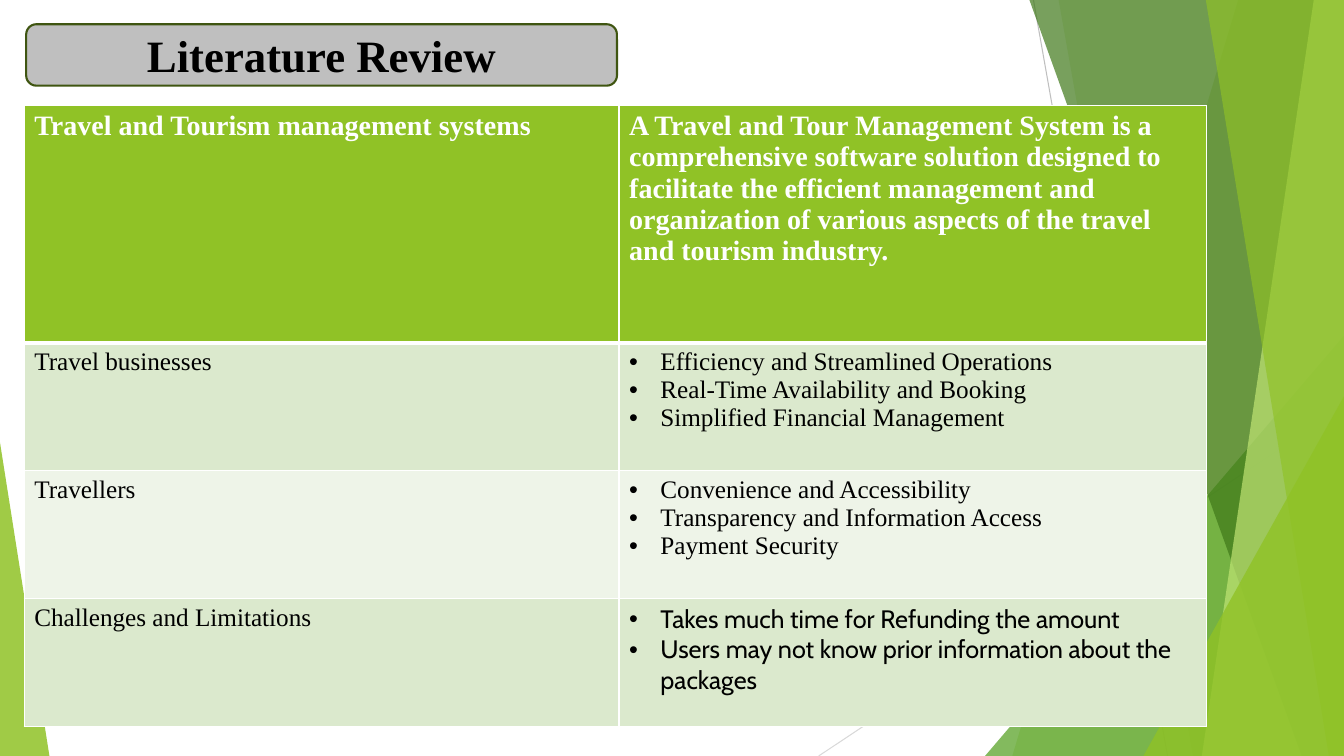
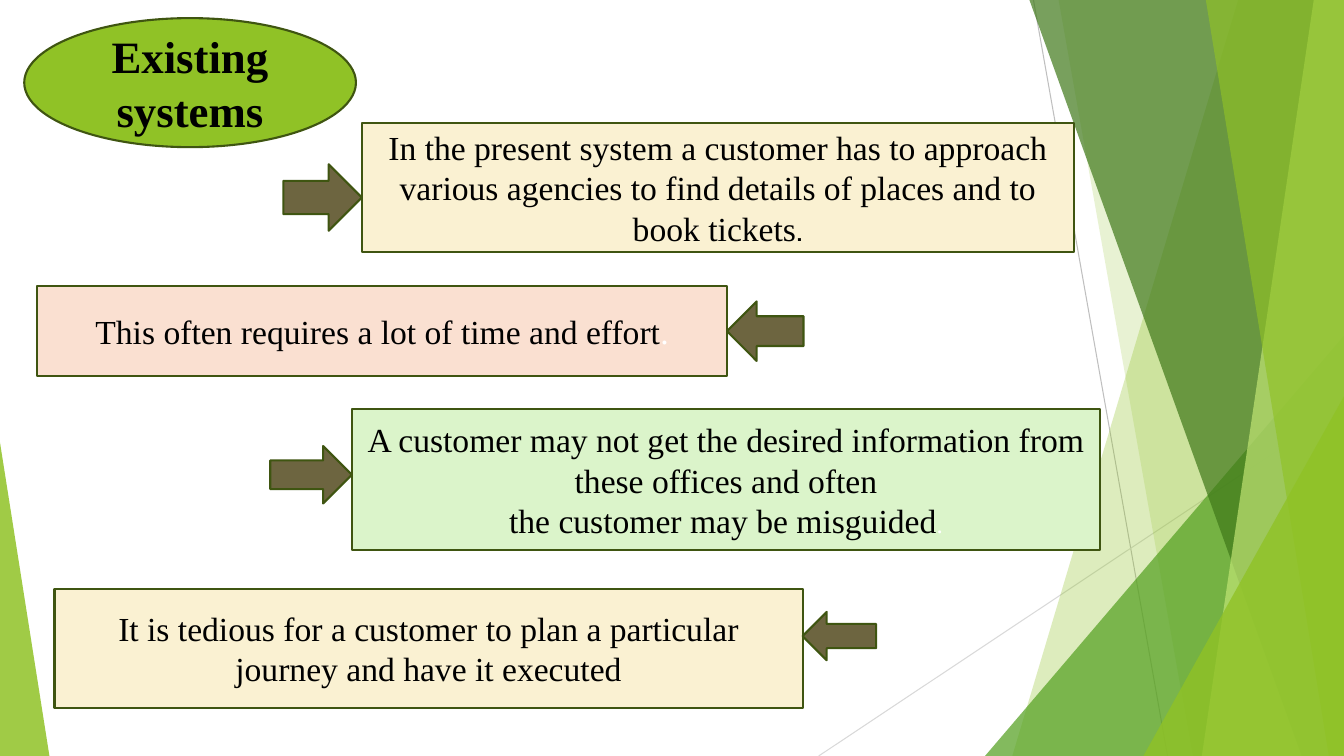
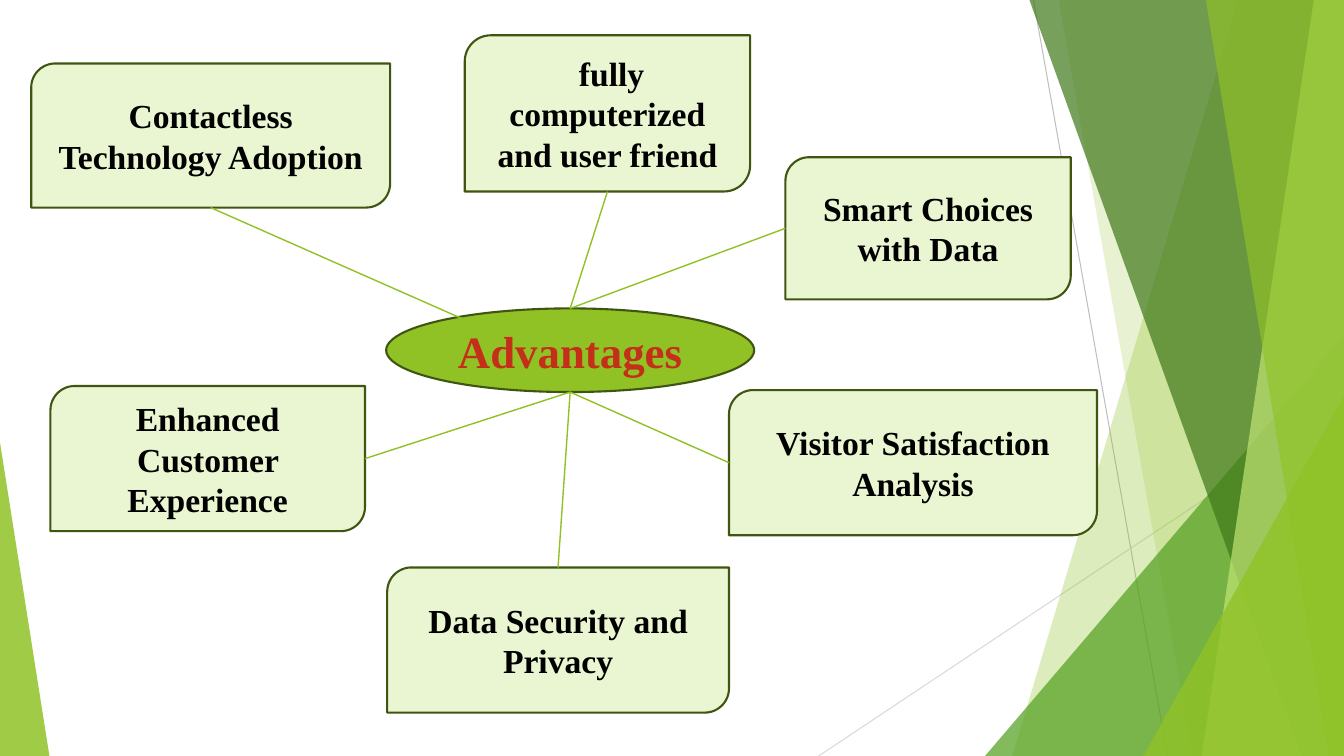
from lxml import etree
from pptx import Presentation
from pptx.dml.color import RGBColor
from pptx.enum import shapes, text
from pptx.oxml.ns import qn
from pptx.util import Inches, Pt

WIDTH, HEIGHT = 13.33, 7.5
BLACK = RGBColor(0x00, 0x00, 0x00)
WHITE = RGBColor(0xFF, 0xFF, 0xFF)
GREEN = RGBColor(0x90, 0xC2, 0x26)
MID_GREEN = RGBColor(0x54, 0xA0, 0x21)
DARK_GREEN = RGBColor(0x3F, 0x78, 0x19)
LIME = RGBColor(0xC0, 0xE4, 0x74)
OUTLINE = RGBColor(0x3F, 0x55, 0x11)
GREY = RGBColor(0xBF, 0xBF, 0xBF)
LIGHT_GREY = RGBColor(0xD9, 0xD9, 0xD9)
OLIVE = RGBColor(0x6D, 0x65, 0x40)
CREAM = RGBColor(0xFA, 0xF1, 0xD2)
PEACH = RGBColor(0xFA, 0xE0, 0xD1)
MINT = RGBColor(0xDB, 0xF4, 0xCA)
PALE_GREEN = RGBColor(0xEA, 0xF6, 0xD1)
RED = RGBColor(0xC4, 0x2F, 0x1A)
ROW_TINTS = (RGBColor(0xDB, 0xE9, 0xCD), RGBColor(0xEE, 0xF4, 0xE8))

SERIF, SANS = "Times New Roman", "Cabin"
SHAPE = shapes.MSO_SHAPE


def style_run(run, size, color=BLACK, bold=False, font=SERIF):
    run.font.name, run.font.size, run.font.bold = font, Pt(size), bold
    run.font.color.rgb = color


def add_line(slide, start, end, color, width):
    line = slide.shapes.add_connector(
        shapes.MSO_CONNECTOR.STRAIGHT, *map(Inches, start + end))
    line.line.color.rgb = color
    line.line.width = Pt(width)
    etree.SubElement(line.element.spPr, qn("a:effectLst"))


def add_figure(slide, kind, box, fill):
    figure = slide.shapes.add_shape(kind, *map(Inches, box))
    figure.shadow.inherit = False
    figure.fill.solid()
    figure.fill.fore_color.rgb = fill
    figure.line.color.rgb = OUTLINE
    figure.line.width = Pt(1.5)
    return figure


def add_label(slide, kind, box, fill, words, size, color=BLACK, bold=True):
    """Add an outlined shape with centred text and return its text frame."""
    frame = add_figure(slide, kind, box, fill).text_frame
    frame.word_wrap = True
    frame.vertical_anchor = text.MSO_ANCHOR.MIDDLE
    frame.text = words
    for paragraph in frame.paragraphs:
        paragraph.alignment = text.PP_ALIGN.CENTER
        for run in paragraph.runs:
            style_run(run, size, color, bold)
    return frame


def tint(facet, color, opacity):
    """Fill a facet with a see-through colour and no outline."""
    facet.shadow.inherit = False
    facet.fill.solid()
    facet.fill.fore_color.rgb = color
    facet.line.fill.background()
    value = facet.element.spPr.find(".//" + qn("a:srgbClr"))
    etree.SubElement(value, qn("a:alpha")).set("val", str(opacity * 1000))


def add_band(slide, top_x, bottom_x, color, opacity):
    """Add a full-height band with a slanted left side, up to the right edge."""
    corners = [(top_x, 0), (WIDTH, 0), (WIDTH, HEIGHT), (bottom_x, HEIGHT)]
    start, *others = [tuple(map(Inches, corner)) for corner in corners]
    outline = slide.shapes.build_freeform(*start)
    outline.add_line_segments(others, close=True)
    tint(outline.convert_to_shape(), color, opacity)


def add_wedge(slide, left, top, width, apex, color, opacity):
    """Add a right triangle standing on the bottom edge."""
    wedge = slide.shapes.add_shape(
        SHAPE.ISOSCELES_TRIANGLE, *map(Inches, (left, top, width, HEIGHT - top)))
    wedge.adjustments[0] = apex
    tint(wedge, color, opacity)


def add_backdrop(slide):
    add_line(slide, (10.25, 0), (11.58, HEIGHT), GREY, 0.75)
    add_line(slide, (WIDTH, 4.03), (8.12, HEIGHT), LIGHT_GREY, 0.75)
    add_band(slide, 12.28, 10.04, GREEN, 30)
    add_band(slide, 10.5, 11.83, GREEN, 20)
    add_wedge(slide, 9.77, 3.33, 3.56, 1, MID_GREEN, 72)
    add_band(slide, 10.21, 12.91, DARK_GREEN, 70)
    add_band(slide, 13.03, 11.92, LIME, 70)
    add_band(slide, 11.96, 13.18, GREEN, 65)
    add_wedge(slide, 11.34, 3.93, 1.99, 1, GREEN, 80)
    add_wedge(slide, 0, 4.39, 0.49, 0, GREEN, 85)


def share_backdrop(prs, layout):
    """Draw the backdrop once and move it to the layout; return the first slide."""
    for placeholder in list(layout.placeholders):
        layout.shapes.element.remove(placeholder.element)
    slide = prs.slides.add_slide(layout)
    add_backdrop(slide)
    for part in list(slide.shapes):
        layout.shapes.element.append(part.element)
    return slide


def set_borders(cell, bottom=1, top=1):
    properties = cell._tc.get_or_add_tcPr()
    for side, width in (("L", 1), ("R", 1), ("T", top), ("B", bottom)):
        border = etree.SubElement(properties, qn("a:ln" + side), w=str(Pt(width)))
        paint = etree.SubElement(border, qn("a:solidFill"))
        etree.SubElement(paint, qn("a:srgbClr"), val=str(WHITE))


def add_bullet(paragraph):
    properties = paragraph._p.get_or_add_pPr()
    properties.set("marL", str(Inches(0.31)))
    properties.set("indent", str(-Inches(0.31)))
    etree.SubElement(properties, qn("a:buFont"), typeface="Arial")
    etree.SubElement(properties, qn("a:buChar"), char="•")


REVIEW = [
    ("Travel and Tourism management systems",
     ["A Travel and Tour Management System is a comprehensive software solution "
      "designed to facilitate the efficient management and organization of various "
      "aspects of the travel and tourism industry."], SERIF),
    ("Travel businesses",
     ["Efficiency and Streamlined Operations",
      "Real-Time Availability and Booking",
      "Simplified Financial Management"], SERIF),
    ("Travellers",
     ["Convenience and Accessibility",
      "Transparency and Information Access",
      "Payment Security"], SERIF),
    ("Challenges and Limitations",
     ["Takes much time for Refunding the amount",
      "Users may not know prior information about the packages"], SANS),
]


def add_review_table(slide, left, top):
    widths, heights = (5.9, 5.83), (2.35, 1.27, 1.27, 1.27)
    table = slide.shapes.add_table(
        len(heights), len(widths),
        *map(Inches, (left, top, sum(widths), sum(heights)))).table
    for column, width in zip(table.columns, widths):
        column.width = Inches(width)
    for index, (topic, points, points_font) in enumerate(REVIEW):
        header = index == 0
        table.rows[index].height = Inches(heights[index])
        for column, (lines, font) in enumerate((([topic], SERIF), (points, points_font))):
            cell = table.cell(index, column)
            set_borders(cell, 3 if header else 1, 3 if index == 1 else 1)
            cell.fill.solid()
            cell.fill.fore_color.rgb = GREEN if header else ROW_TINTS[(index - 1) % 2]
            cell.text_frame.text = "\n".join(lines)
            for paragraph in cell.text_frame.paragraphs:
                if column and not header:
                    add_bullet(paragraph)
                style_run(paragraph.runs[0], 20 if header else 18,
                          WHITE if header else BLACK, header, font)


def build_review(slide):
    add_review_table(slide, 0.24, 1.05)
    add_label(slide, SHAPE.ROUNDED_RECTANGLE, (0.26, 0.24, 5.86, 0.61), GREY,
              "Literature Review", 32)


# box, fill, words, closing stop (size, colour, font), arrow (width, height, drop)
NOTES = [
    ((3.59, 1.22, 7.06, 1.28), CREAM,
     "In the present system a customer has to approach various agencies to find "
     "details of places and to book tickets", (24, BLACK, SANS), (0.78, 0.66, 0.1)),
    ((0.37, 2.84, 6.84, 0.89), PEACH,
     "This often requires a lot of time and effort",
     (24, WHITE, SERIF), (0.76, 0.59, 0)),
    ((3.49, 4.06, 7.42, 1.4), MINT,
     "A customer may not get the desired information from these offices and often\n"
     "the customer may be misguided", (18, WHITE, SERIF), (0.81, 0.57, -0.05)),
    ((0.54, 5.84, 7.42, 1.18), CREAM,
     "It is tedious for a customer to plan a particular journey and have it executed",
     None, (0.73, 0.48, -0.12)),
]


def add_note(slide, box, fill, words, stop, arrow, arrow_on_left):
    """Add a note and an arrow that touches its side, drop below its middle."""
    frame = add_label(slide, SHAPE.RECTANGLE, box, fill, words, 24, bold=False)
    if stop:
        size, color, font = stop
        full_stop = frame.paragraphs[-1].add_run()
        full_stop.text = "."
        style_run(full_stop, size, color, font=font)
    left, top, width, height = box
    arrow_width, arrow_height, drop = arrow
    arrow_top = top + (height - arrow_height) / 2 + drop
    kind, arrow_left = ((SHAPE.RIGHT_ARROW, left - arrow_width) if arrow_on_left
                        else (SHAPE.LEFT_ARROW, left + width))
    add_figure(slide, kind, (arrow_left, arrow_top, arrow_width, arrow_height), OLIVE)


def build_existing(slide):
    add_label(slide, SHAPE.OVAL, (0.24, 0.18, 3.29, 1.28), GREEN, "Existing systems", 32)
    for index, note in enumerate(NOTES):
        add_note(slide, *note, arrow_on_left=index % 2 == 0)


def side_middle(box, side):
    left, top, width, height = box
    across, down = {"top": (0.5, 0), "bottom": (0.5, 1),
                    "left": (0, 0.5), "right": (1, 0.5)}[side]
    return left + across * width, top + down * height


HUB = (3.83, 3.06, 3.65, 0.83)
HUB_TOP, HUB_BOTTOM = side_middle(HUB, "top"), side_middle(HUB, "bottom")
# box, words, side where the spoke starts, point of the hub where it ends
ADVANTAGES = [
    ((0.31, 0.63, 3.56, 1.43), "Contactless Technology Adoption", "bottom", (4.92, 3.31)),
    ((4.61, 0.35, 2.83, 1.55), " fully computerized and user friend", "bottom", HUB_TOP),
    ((7.79, 1.56, 2.83, 1.41), "Smart Choices with Data", "left", HUB_TOP),
    ((0.5, 3.83, 3.12, 1.44), "Enhanced Customer Experience", "right", HUB_BOTTOM),
    ((3.84, 5.63, 3.39, 1.44), "Data Security and Privacy", "top", HUB_BOTTOM),
    ((7.23, 3.87, 3.65, 1.44), "Visitor Satisfaction Analysis", "left", HUB_BOTTOM),
]


def build_advantages(slide):
    add_label(slide, SHAPE.OVAL, HUB, GREEN, "Advantages", 32, RED)
    for box, words, side, hub_point in ADVANTAGES:
        add_label(slide, SHAPE.ROUND_2_DIAG_RECTANGLE, box, PALE_GREEN, words, 24)
        add_line(slide, side_middle(box, side), hub_point, GREEN, 1)


def main():
    prs = Presentation()
    prs.slide_width, prs.slide_height = Inches(WIDTH), Inches(HEIGHT)
    blank = prs.slide_layouts[6]
    build_review(share_backdrop(prs, blank))
    build_existing(prs.slides.add_slide(blank))
    build_advantages(prs.slides.add_slide(blank))
    prs.save("out.pptx")


if __name__ == "__main__":
    main()
